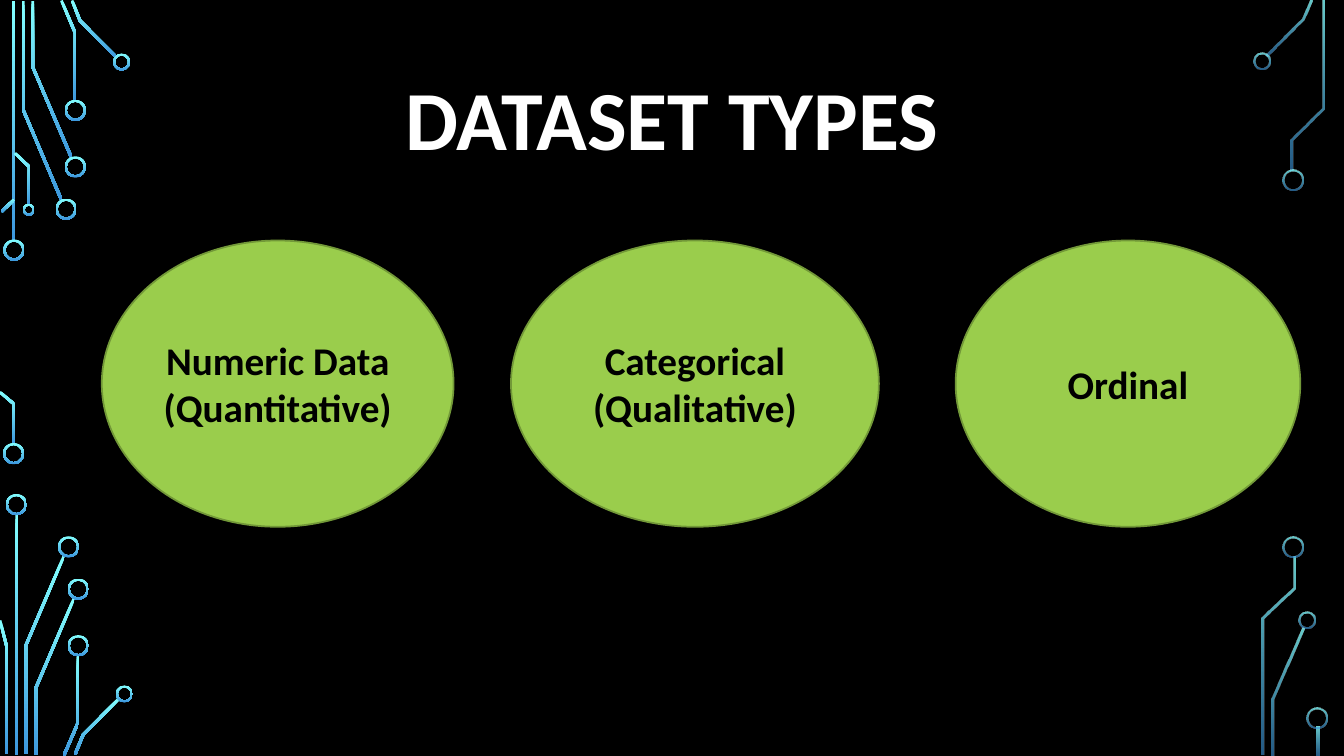
from lxml import etree
from pptx import Presentation
from pptx import util as u
from pptx.dml.color import RGBColor
from pptx.enum import shapes, text
from pptx.oxml import ns

COLORS = {
    "background": "000000",
    "title": "FFFFFF",
    "label": "000000",
    "ellipse": "9ACD4C",
    "ellipse_line": "729838",
    "circuit_top": "82FFFF",
    "circuit_bottom": "3D97DE",
}
FONT = "Calibri"
TRACE_WIDTH = 2
RING_WIDTH = 1.44
RING, SMALL_RING, TINY_RING = 15.1, 12.2, 8.6  # diameters
RIGHT_OPACITY = (80, 60)

# Centre lines of the traces
LEFT_TRACES = [
    [(9.7, 0.7), (9.7, 172.8)],
    [(43.9, 142.9), (16.6, 78.5), (16.6, 0.7)],
    [(51.1, 112.7), (23.4, 47.9), (23.4, 0.7)],
    [(53.8, 72), (53.8, 23.8), (43.9, 0.4)],
    [(83.2, 41), (57.2, 14.8), (51.5, 0.4)],
    [(1.1, 151.2), (10.1, 142.6)],
    [(10.1, 317.5), (10.1, 288.7), (0, 280.1)],
    [(20.9, 146.2), (20.9, 119.2), (10.8, 109.4)],
    [(11.9, 367.2), (11.9, 539.3)],
    [(18.4, 538.6), (18.4, 461.2), (45.7, 397.1)],
    [(4.7, 538.6), (4.7, 461.5), (0, 443.2)],
    [(25.6, 539.3), (25.6, 491.4), (52.9, 427.3)],
    [(45.7, 539.6), (55.8, 516.2), (55.8, 468)],
    [(53.6, 538.9), (59.4, 524.9), (85, 499)],
]
RIGHT_TRACES = [
    [(905, 40), (930.6, 14), (936.4, 0.4)],
    [(909, 539.3), (909, 499.3), (931, 448.9)],
    [(923, 121.7), (923, 99.7), (945, 77.4), (945, 0.7)],
    [(901.8, 539.3), (901.8, 441.7), (924.1, 420.1), (924.1, 397.4)],
    [(941.4, 519.1), (941.4, 539.3)],
]

# Centre x, centre y, diameter
LEFT_RINGS = [
    (10, 178.6, RING), (9.7, 324, RING), (47.2, 149.4, RING),
    (53.8, 119.2, RING), (53.8, 78.8, RING), (86.9, 44.3, SMALL_RING),
    (20.5, 149.8, TINY_RING), (11.7, 360.4, RING), (49, 390.6, RING),
    (55.9, 420.8, RING), (55.9, 461.2, RING), (88.9, 495.7, SMALL_RING),
]
RIGHT_RINGS = [
    (901.4, 43.6, SMALL_RING), (923.4, 128.5, RING), (933.5, 443.2, SMALL_RING),
    (923.8, 390.6, RING), (940.7, 512.6, RING),
]

# Left, width, lines of the label
DATASET_TYPES = [
    (72.7, 251.3, ["Numeric Data", "(Quantitative)"]),
    (365, 262.8, ["Categorical", "(Qualitative)"]),
    (682.6, 246.2, ["Ordinal"]),
]
ELLIPSE_TOP, ELLIPSE_HEIGHT = 171.8, 204.5


def rgb(name):
    return RGBColor.from_string(COLORS[name])


def write_text(paragraph, words, size, color, bold=True, spacing=None):
    paragraph.alignment = text.PP_ALIGN.CENTER
    if spacing:
        paragraph.line_spacing = spacing
    run = paragraph.add_run()
    run.text = words
    run.font.name = FONT
    run.font.size = u.Pt(size)
    run.font.bold = bold
    run.font.color.rgb = rgb(color)


def trace_outline(centre_line, width):
    """Return the corners of a band around the centre line, with mitred bends."""
    points = [complex(x, y) for x, y in centre_line]
    normals = [1j * (b - a) / abs(b - a) for a, b in zip(points, points[1:])]
    offsets = []
    for before, after in zip(normals[:1] + normals, normals + normals[-1:]):
        total = before + after
        offsets.append(total * width / abs(total) ** 2)
    one_side = [p + o for p, o in zip(points, offsets)]
    other_side = [p - o for p, o in zip(points, offsets)]
    corners = one_side + other_side[::-1]
    return [(u.Pt(c.real), u.Pt(c.imag)) for c in corners]


class SlideBuilder:
    def __init__(self, slide):
        self.slide = slide
        self.slide.background.fill.solid()
        self.slide.background.fill.fore_color.rgb = rgb("background")

    def title(self, words, left, top, width, height):
        shape = self.slide.shapes.title
        shape.left, shape.top = u.Pt(left), u.Pt(top)
        shape.width, shape.height = u.Pt(width), u.Pt(height)
        frame = shape.text_frame
        frame.auto_size = text.MSO_AUTO_SIZE.NONE
        frame.vertical_anchor = text.MSO_ANCHOR.MIDDLE
        write_text(frame.paragraphs[0], words, 60, "title", spacing=0.9)

    def circuit_style(self, shape, opacity):
        shape.shadow.inherit = False
        shape.line.fill.background()
        shape.fill.gradient()
        shape.fill.gradient_angle = 270
        for stop, name in zip(shape.fill.gradient_stops, ("circuit_top", "circuit_bottom")):
            stop.color.rgb = rgb(name)
        if opacity:
            colors = shape._element.spPr.iter(ns.qn("a:srgbClr"))
            for color, percent in zip(colors, opacity):
                etree.SubElement(color, ns.qn("a:alpha")).set("val", str(percent * 1000))

    def trace(self, centre_line, opacity=None):
        start, *others = trace_outline(centre_line, TRACE_WIDTH)
        builder = self.slide.shapes.build_freeform(*start)
        builder.add_line_segments(others, close=True)
        self.circuit_style(builder.convert_to_shape(), opacity)

    def ring(self, x, y, diameter, opacity=None):
        shape = self.slide.shapes.add_shape(
            shapes.MSO_SHAPE.DONUT, u.Pt(x - diameter / 2), u.Pt(y - diameter / 2),
            u.Pt(diameter), u.Pt(diameter))
        shape.adjustments[0] = RING_WIDTH / diameter
        self.circuit_style(shape, opacity)

    def ellipse(self, left, width, lines):
        shape = self.slide.shapes.add_shape(
            shapes.MSO_SHAPE.OVAL, u.Pt(left), u.Pt(ELLIPSE_TOP),
            u.Pt(width), u.Pt(ELLIPSE_HEIGHT))
        shape.shadow.inherit = False
        shape.fill.solid()
        shape.fill.fore_color.rgb = rgb("ellipse")
        shape.line.color.rgb = rgb("ellipse_line")
        shape.line.width = u.Pt(1.25)
        frame = shape.text_frame
        frame.vertical_anchor = text.MSO_ANCHOR.MIDDLE
        for index, words in enumerate(lines):
            paragraph = frame.add_paragraph() if index else frame.paragraphs[0]
            write_text(paragraph, words, 28, "label")


def main():
    presentation = Presentation()
    presentation.slide_width, presentation.slide_height = u.Pt(960), u.Pt(540)
    title_only = presentation.slide_layouts[5]
    builder = SlideBuilder(presentation.slides.add_slide(title_only))

    sides = [(LEFT_TRACES, LEFT_RINGS, None), (RIGHT_TRACES, RIGHT_RINGS, RIGHT_OPACITY)]
    for traces, rings, opacity in sides:
        for centre_line in traces:
            builder.trace(centre_line, opacity)
        for ring in rings:
            builder.ring(*ring, opacity)

    builder.title("DATASET TYPES", 90, 49, 780, 78)
    for dataset_type in DATASET_TYPES:
        builder.ellipse(*dataset_type)
    presentation.save("out.pptx")


if __name__ == "__main__":
    main()
